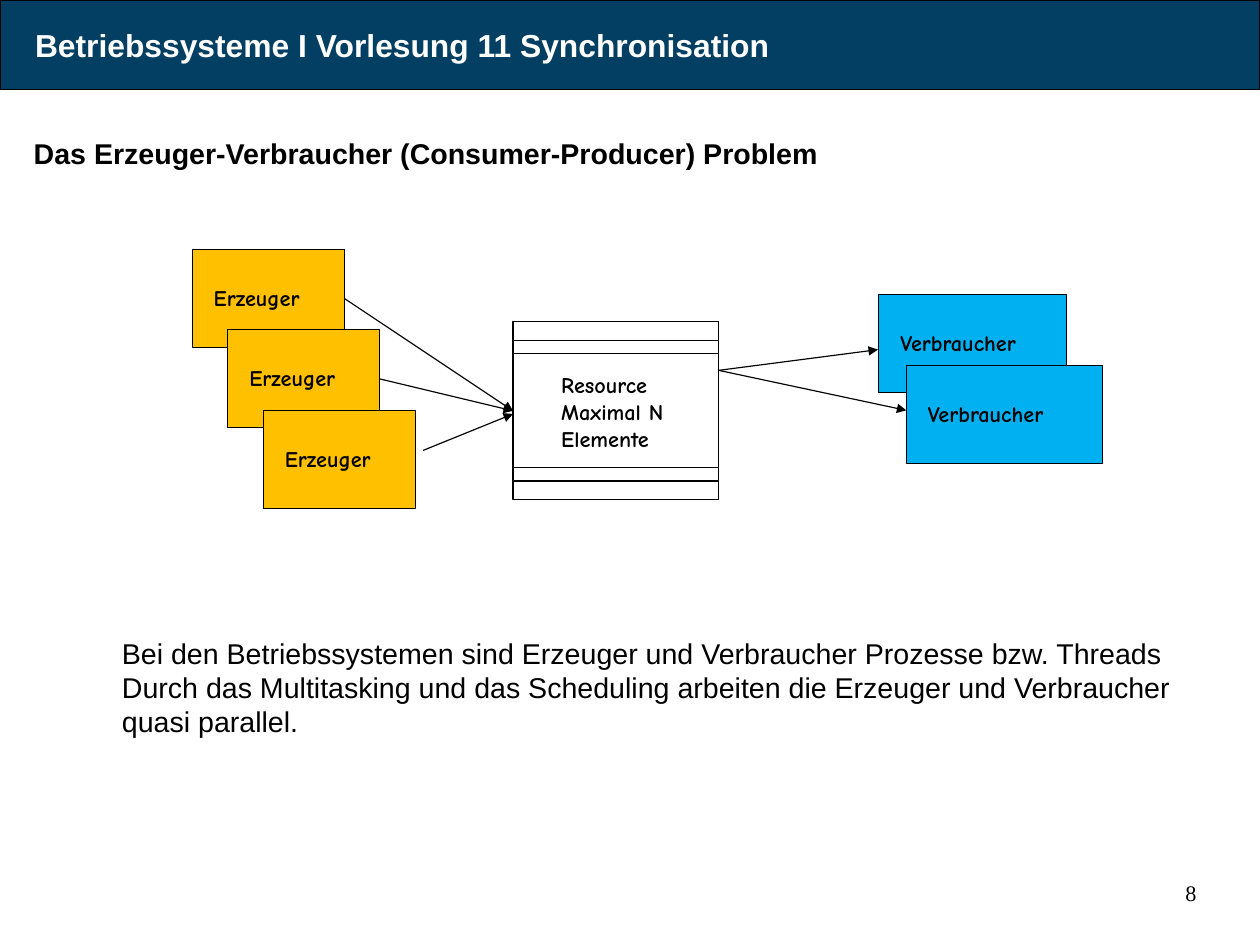
from lxml.etree import SubElement
from pptx import Presentation
from pptx.dml.color import RGBColor
from pptx.enum.shapes import MSO_CONNECTOR, MSO_SHAPE
from pptx.enum.text import MSO_ANCHOR, PP_ALIGN
from pptx.oxml.ns import qn
from pptx.util import Cm, Pt

COLORS = {
    "navy": "023F62",
    "gold": "FFC000",
    "blue": "00B0F0",
    "black": "000000",
    "white": "FFFFFF",
}
RIGHT, LEFT = 3, 1


def color(name):
    return RGBColor.from_string(COLORS[name])


def write(frame, text, font="Arial", size=18, ink="black", bold=False,
          align=PP_ALIGN.LEFT, anchor=MSO_ANCHOR.TOP, space=None,
          pad=(0.25, 0.13, 0.25, 0.13)):
    """Fill a text frame, one paragraph per line; pad is left, top, right, bottom."""
    frame.word_wrap = True
    frame.vertical_anchor = anchor
    (frame.margin_left, frame.margin_top,
     frame.margin_right, frame.margin_bottom) = map(Cm, pad)
    frame.text = text
    for para in frame.paragraphs:
        para.alignment = align
        para.line_spacing = space
        para.font.name = font
        para.font.size = Pt(size)
        para.font.bold = bold
        para.font.color.rgb = color(ink)


def label(slide, area, text, **style):
    box = slide.shapes.add_textbox(*map(Cm, area))
    write(box.text_frame, text, **style)


def rect(slide, area, fill=None, width=0.75):
    shape = slide.shapes.add_shape(MSO_SHAPE.RECTANGLE, *map(Cm, area))
    shape.shadow.inherit = False
    if fill:
        shape.fill.solid()
        shape.fill.fore_color.rgb = color(fill)
    else:
        shape.fill.background()
    shape.line.color.rgb = color("black")
    shape.line.width = Pt(width)
    return shape


def actor(slide, area, text, fill):
    shape = rect(slide, area, fill)
    write(shape.text_frame, text, font="Comic Neue", size=14, bold=True,
          anchor=MSO_ANCHOR.MIDDLE, pad=(0.48, 0, 0, 0.05))
    return shape


def arrow(slide, start, end, source=None, target=None):
    """Draw an arrow, joined to source's right and target's left side if given."""
    line = slide.shapes.add_connector(MSO_CONNECTOR.STRAIGHT,
                                      *map(Cm, start + end))
    if source:
        line.begin_connect(source, RIGHT)
    if target:
        line.end_connect(target, LEFT)
    line.line.color.rgb = color("black")
    line.line.width = Pt(0.75)
    props = line.line._get_or_add_ln()
    SubElement(props, qn("a:tailEnd"), type="triangle")
    SubElement(line._element.spPr, qn("a:effectLst"))


def buffer(slide):
    left, width = 11.4, 4.57
    store = rect(slide, (left, 7.57, width, 3.12))
    for top in (7.14, 10.39):
        rect(slide, (left, top, width, 0.71))
    label(slide, (12.22, 8.13, 3.28, 2.03), "Resource\nMaximal N\nElemente",
          font="Comic Neue", size=14, bold=True)
    return store


def diagram(slide):
    store = buffer(slide)
    makers = [actor(slide, (4.27 + 0.79 * i, 5.54 + 1.79 * i, 3.38, 2.18),
                    "Erzeuger", "gold") for i in range(3)]
    for area in ((19.53, 6.55, 4.17, 2.18), (20.14, 8.13, 4.37, 2.18)):
        actor(slide, area, "Verbraucher", "blue")

    inlet, outlet = (11.4, 9.13), (15.97, 8.23)
    for maker in makers[:2]:
        arrow(slide, (7.65, 6.63), inlet, maker, store)
    arrow(slide, (9.4, 10.01), (11.4, 9.2))
    for end in ((19.51, 7.77), (20.14, 9.12)):
        arrow(slide, outlet, end)


def main():
    deck = Presentation()
    deck.slide_width, deck.slide_height = Cm(28), Cm(21)
    slide = deck.slides.add_slide(deck.slide_layouts[6])

    banner = rect(slide, (0, 0, 28, 2), "navy", width=0)
    write(banner.text_frame, "Betriebssysteme I Vorlesung 11 Synchronisation",
          size=20, ink="white", bold=True, anchor=MSO_ANCHOR.MIDDLE,
          pad=(0.78, 0, 0, 0))
    label(slide, (0.5, 2.5, 26, 1.4),
          "Das Erzeuger-Verbraucher (Consumer-Producer) Problem",
          bold=True, space=1.5)
    diagram(slide)
    label(slide, (2.46, 14, 24, 2.4),
          "Bei den Betriebssystemen sind Erzeuger und Verbraucher Prozesse"
          " bzw. Threads\n"
          "Durch das Multitasking und das Scheduling arbeiten die Erzeuger"
          " und Verbraucher\n"
          "quasi parallel.")
    label(slide, (20.07, 19.53, 6.52, 1.45), "8", font="Times New Roman",
          size=14, align=PP_ALIGN.RIGHT, pad=(0, 0, 0, 0))
    deck.save("out.pptx")


if __name__ == "__main__":
    main()
